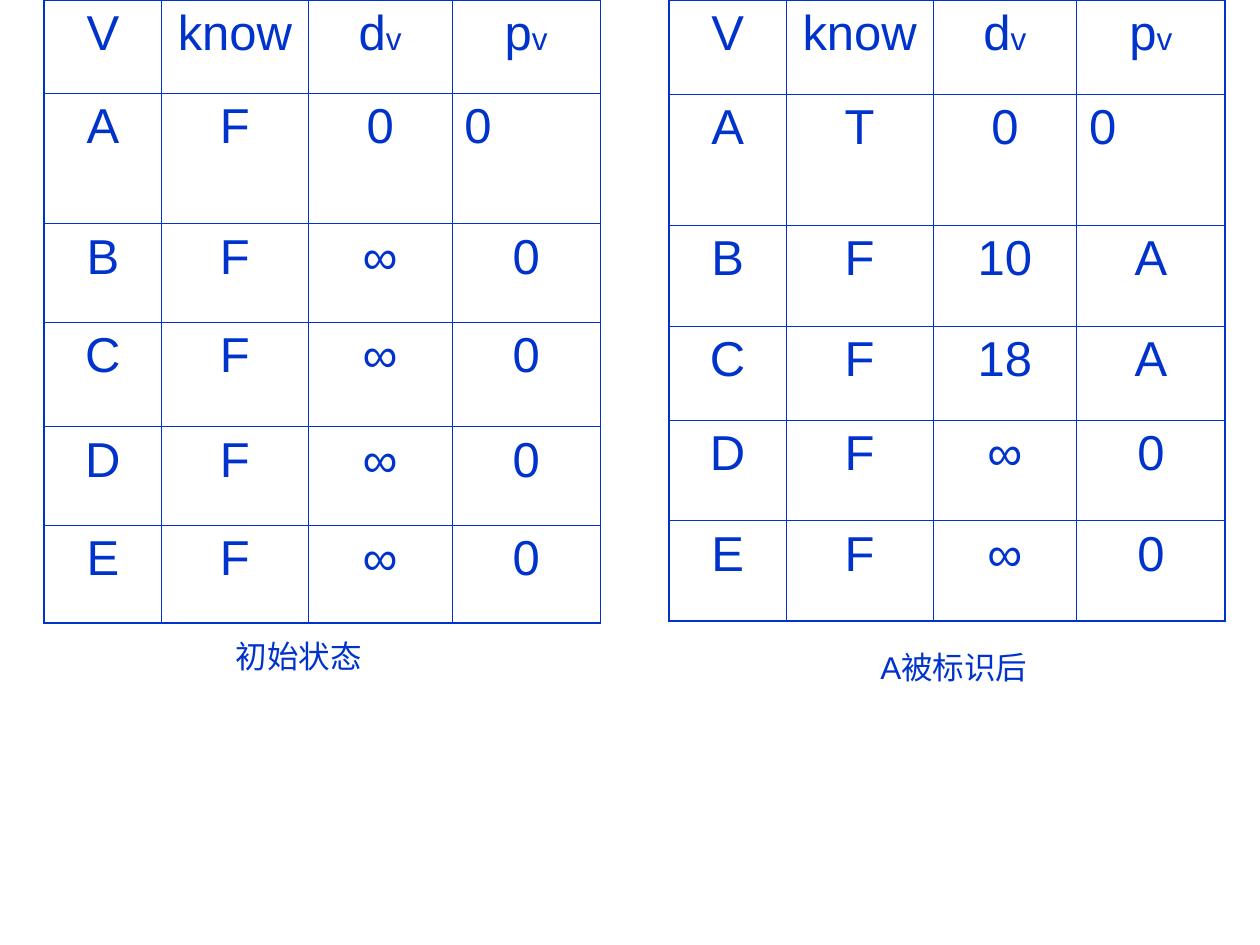
from lxml.etree import SubElement
from pptx import Presentation
from pptx.dml.color import RGBColor
from pptx.enum.text import PP_ALIGN
from pptx.oxml.ns import qn
from pptx.util import Pt

COLORS = {"blue": "0033CC"}
FONT = "Arial"
BODY_SIZE, SMALL_SIZE = 28, 18
INNER_LINE, OUTER_LINE = 0.45, 1.08

# Content: each cell is plain text, or a tuple of a letter and its small suffix
HEADER = ["V", "know", ("d", "v"), ("p", "v")]
COLUMN_WIDTHS = [67, 84, 82, 85]
STATES = [
    {
        "left": 25.25,
        "row_heights": [53.25, 74.5, 56.25, 59.75, 56.25, 56.25],
        "rows": [
            ["A", "F", "0", "0"],
            ["B", "F", "∞", "0"],
            ["C", "F", "∞", "0"],
            ["D", "F", "∞", "0"],
            ["E", "F", "∞", "0"],
        ],
        "caption": "初始状态",
        "caption_at": (127.5, 360.75, 209.5, 29),
    },
    {
        "left": 382.25,
        "row_heights": [53.75, 75, 57.5, 54, 57.25, 57.5],
        "rows": [
            ["A", "T", "0", "0"],
            ["B", "F", "10", "A"],
            ["C", "F", "18", "A"],
            ["D", "F", "∞", "0"],
            ["E", "F", "∞", "0"],
        ],
        "caption": "A被标识后",
        "caption_at": (496, 366.5, 193, 29),
    },
]


def set_font(font, size):
    font.name = FONT
    font.size = Pt(size)
    font.bold = False
    font.color.rgb = RGBColor.from_string(COLORS["blue"])


def set_borders(cell, outer_sides):
    properties = cell._tc.get_or_add_tcPr()
    for side in "LRTB":
        width = OUTER_LINE if side in outer_sides else INNER_LINE
        line = SubElement(properties, qn(f"a:ln{side}"), w=str(int(Pt(width))))
        fill = SubElement(line, qn("a:solidFill"))
        SubElement(fill, qn("a:srgbClr"), val=COLORS["blue"])


def fill_cell(cell, content, alignment):
    paragraph = cell.text_frame.paragraphs[0]
    paragraph.alignment = alignment
    set_font(paragraph.font, BODY_SIZE)
    for text, size in zip(content, (BODY_SIZE, SMALL_SIZE)):
        span = paragraph.add_run()
        span.text = text
        set_font(span.font, size)


def add_state_table(page, state):
    rows = [HEADER] + state["rows"]
    heights = state["row_heights"]
    table = page.shapes.add_table(
        len(rows), len(HEADER), Pt(state["left"]), Pt(0),
        Pt(sum(COLUMN_WIDTHS)), Pt(sum(heights))).table
    table.first_row = table.horz_banding = False
    for column, width in zip(table.columns, COLUMN_WIDTHS):
        column.width = Pt(width)
    for row, height in zip(table.rows, heights):
        row.height = Pt(height)

    last_row, last_column = len(rows) - 1, len(HEADER) - 1
    for r, values in enumerate(rows):
        for c, value in enumerate(values):
            cell = table.cell(r, c)
            edges = {"L": c == 0, "R": c == last_column,
                     "T": r == 0, "B": r == last_row}
            set_borders(cell, [side for side, outer in edges.items() if outer])
            cell.fill.background()
            # The predecessor of the start vertex is set to the left
            at_start = (r, c) == (1, last_column)
            fill_cell(cell, (value,) if isinstance(value, str) else value,
                      PP_ALIGN.LEFT if at_start else PP_ALIGN.CENTER)


def add_caption(page, state):
    box = page.shapes.add_textbox(*(Pt(n) for n in state["caption_at"]))
    box.text_frame.word_wrap = True
    para = box.text_frame.paragraphs[0]
    para.text = state["caption"]
    set_font(para.font, SMALL_SIZE)


def main():
    deck = Presentation()
    deck.slide_width, deck.slide_height = Pt(720), Pt(540)
    page = deck.slides.add_slide(deck.slide_layouts[6])

    # One table and its caption for each state
    for state in STATES:
        add_state_table(page, state)
        add_caption(page, state)

    deck.save("out.pptx")


if __name__ == "__main__":
    main()
